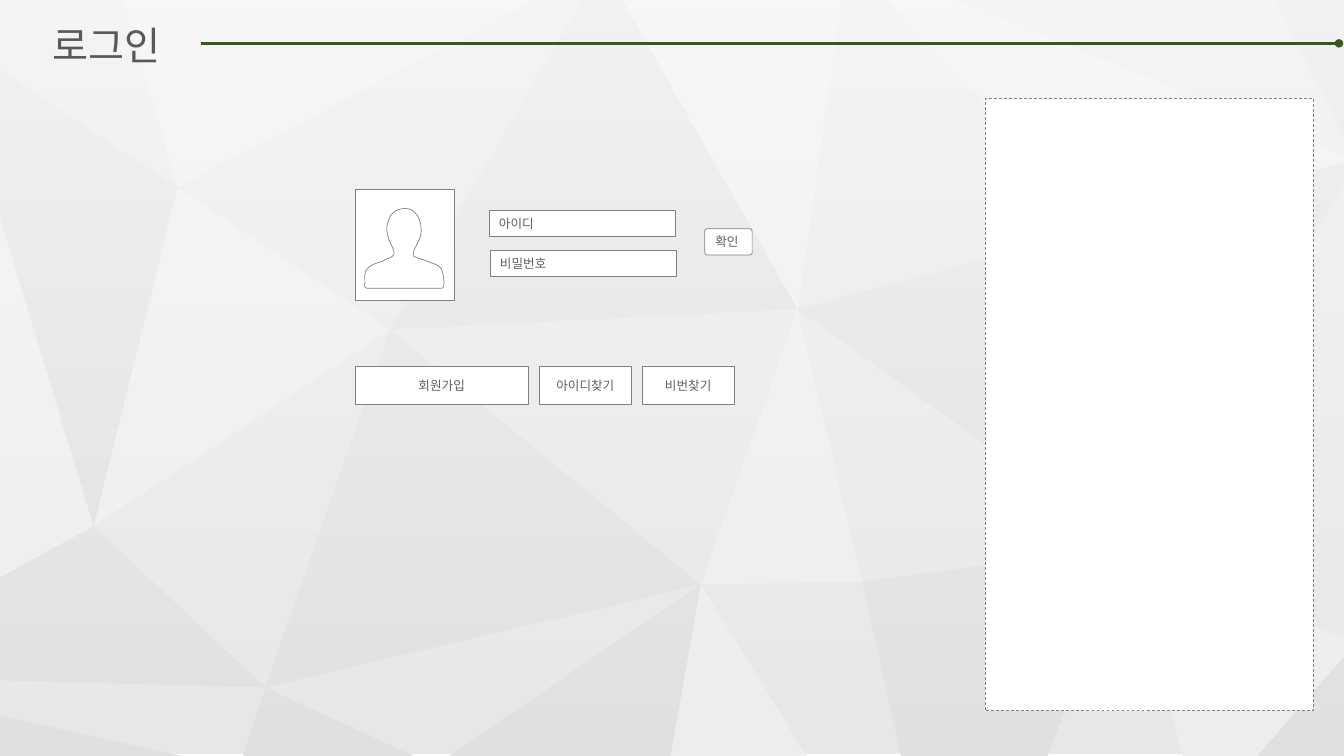
import pptx
import pptx.util
import pptx.dml.color
import pptx.enum.dml
import pptx.enum.shapes
import pptx.enum.text
import pptx.oxml.ns
import lxml.etree

Inches = pptx.util.Inches
Pt = pptx.util.Pt
RGBColor = pptx.dml.color.RGBColor
SHAPE = pptx.enum.shapes.MSO_SHAPE
ALIGN = pptx.enum.text.PP_ALIGN
ANCHOR = pptx.enum.text.MSO_ANCHOR
qn = pptx.oxml.ns.qn

WHITE = RGBColor(0xFF, 0xFF, 0xFF)
BASE_GRAY = RGBColor(0xE7, 0xE7, 0xE7)
LIGHT_GRAY = RGBColor(0xED, 0xED, 0xED)
DARK_GRAY = RGBColor(0xE0, 0xE0, 0xE0)
OUTLINE = RGBColor(0x80, 0x80, 0x80)
TITLE_INK = RGBColor(0x59, 0x59, 0x59)
LABEL_INK = RGBColor(0x5F, 0x5F, 0x5F)
GREEN = RGBColor(0x38, 0x57, 0x23)

TITLE_FONT = "Noto Sans CJK KR"
LABEL_FONT = "Karla"

LIGHT_FACETS = [
    [(6.95, 5.8), (6.65, 7.5), (8, 7.5)],
    [(7.91, 3.07), (6.95, 5.8), (8.55, 5.77)],
    [(11.18, 5.42), (11.73, 7.5), (12.47, 7.5), (13.33, 6.51), (13.33, 6.33)],
    [(0, 2.16), (0, 5.73), (0.93, 5.22)],
    [(8.8, 0), (10.94, 2.26), (13.33, 1.61), (13.33, 1.54), (9.46, 0)],
    [(0.93, 5.22), (3.87, 3.27), (1.76, 1.86)],
    [(1.22, 0), (1.76, 1.86), (5.31, 0)],
    [(6.17, 0), (7.91, 3.07), (8.35, 0)],
]
DARK_FACETS = [
    [(0.93, 5.22), (0, 5.73), (0, 6.75), (2.63, 6.82)],
    [(2.63, 6.82), (2.41, 7.5), (4.1, 7.5)],
    [(13.33, 6.52), (12.47, 7.5), (13.33, 7.5)],
    [(0, 7.1), (0, 7.5), (1.8, 7.5)],
    [(11.18, 5.42), (8.55, 5.77), (8.94, 7.5), (10.39, 7.5)],
    [(6.95, 5.8), (4.45, 7.5), (6.65, 7.5)],
    [(13.33, 1.61), (7.91, 3.07), (11.18, 5.42), (13.33, 1.84)],
    [(6.95, 5.8), (3.87, 3.27), (2.63, 6.82)],
    [(12.65, 0), (13.33, 1.35), (13.33, 0)],
    [(0, 0.69), (0, 2.16), (0.93, 5.22), (1.76, 1.86)],
    [(5.77, 0), (3.87, 3.27), (7.91, 3.07), (6.17, 0)],
]
# Bezier control points of the silhouette, measured from the avatar frame.
PERSON_START = (0.86, 0.79)
PERSON_CURVES = [
    [(0.83, 0.74), (0.75, 0.73), (0.69, 0.7)],
    [(0.65, 0.69), (0.62, 0.68), (0.58, 0.66)],
    [(0.57, 0.61), (0.61, 0.57), (0.65, 0.47)],
    [(0.67, 0.4), (0.66, 0.26), (0.56, 0.2)],
    [(0.48, 0.17), (0.37, 0.2), (0.34, 0.29)],
    [(0.27, 0.44), (0.38, 0.56), (0.39, 0.62)],
    [(0.4, 0.68), (0.31, 0.68), (0.28, 0.71)],
    [(0.22, 0.73), (0.17, 0.74), (0.13, 0.78)],
    [(0.09, 0.82), (0.1, 0.86), (0.1, 0.93)],
    [(0.09, 0.96), (0.1, 0.98), (0.13, 0.98)],
    [(0.38, 0.98), (0.59, 0.98), (0.86, 0.98)],
    [(0.91, 0.98), (0.87, 0.81), (0.86, 0.79)],
]


def paint(shape, fill, outline=None):
    shape.shadow.inherit = False
    shape.fill.solid()
    shape.fill.fore_color.rgb = fill
    if outline is None:
        shape.line.fill.background()
    else:
        shape.line.color.rgb = outline
        shape.line.width = Pt(0.5)


def add_outlined(shapes, left, top, width, height, kind=SHAPE.RECTANGLE):
    shape = shapes.add_shape(kind, Inches(left), Inches(top), Inches(width), Inches(height))
    paint(shape, WHITE, OUTLINE)
    return shape


def add_polygon(shapes, points, fill, outline=None):
    corners = [(Inches(x), Inches(y)) for x, y in points]
    builder = shapes.build_freeform(*corners[0])
    builder.add_line_segments(corners[1:], close=True)
    paint(builder.convert_to_shape(), fill, outline)


def write(frame, text, size, font, ink, align=ALIGN.LEFT):
    para = frame.paragraphs[0]
    para.text = text
    para.alignment = align
    para.font.size = Pt(size)
    para.font.name = font
    para.font.color.rgb = ink
    properties = para._p.find(".//" + qn("a:defRPr"))
    lxml.etree.SubElement(properties, qn("a:ea")).set("typeface", TITLE_FONT)


def add_label_box(page, text, left, top, width, height, align=ALIGN.LEFT, kind=SHAPE.RECTANGLE):
    box = add_outlined(page.shapes, left, top, width, height, kind)
    box.text_frame.vertical_anchor = ANCHOR.MIDDLE
    write(box.text_frame, text, 9, LABEL_FONT, LABEL_INK, align)
    return box


def flatten(start, curves, steps=8):
    """Turn chained cubic curves into the points of a polyline."""
    points = [start]
    for first, second, end in curves:
        origin = points[-1]
        for step in range(1, steps + 1):
            t = step / steps
            u = 1 - t
            points.append(tuple(
                u**3 * a + 3 * u * u * t * b + 3 * u * t * t * c + t**3 * d
                for a, b, c, d in zip(origin, first, second, end)))
    return points


def add_background(page, width, height):
    facets = page.shapes.add_group_shape().shapes
    base = facets.add_shape(SHAPE.RECTANGLE, 0, 0, Inches(width), Inches(height - 0.02))
    paint(base, BASE_GRAY)
    for fill, polygons in ((LIGHT_GRAY, LIGHT_FACETS), (DARK_GRAY, DARK_FACETS)):
        for points in polygons:
            add_polygon(facets, points, fill)

    veil = page.shapes.add_shape(SHAPE.RECTANGLE, 0, 0, Inches(width), Inches(height))
    paint(veil, WHITE)
    veil.fill.gradient()
    veil.fill.gradient_angle = 270
    for stop, position, opacity in zip(veil.fill.gradient_stops, (0, 1), (60000, 0)):
        stop.position = position
        stop.color.rgb = WHITE
    for color, opacity in zip(veil._element.spPr.iter(qn("a:srgbClr")), (60000, 0)):
        lxml.etree.SubElement(color, qn("a:alpha")).set("val", str(opacity))


def add_header(page, left, top, right):
    title = page.shapes.add_textbox(Inches(left), Inches(top), Inches(2.23), Inches(0.57))
    title.text_frame.word_wrap = True
    write(title.text_frame, "로그인", 28, TITLE_FONT, TITLE_INK)
    rule_y = Inches(top + 0.27)
    rule = page.shapes.add_connector(
        pptx.enum.shapes.MSO_CONNECTOR.STRAIGHT, Inches(left + 1.57), rule_y, Inches(right), rule_y)
    rule.line.color.rgb = GREEN
    rule.line.width = Pt(2)
    lxml.etree.SubElement(rule.line._get_or_add_ln(), qn("a:tailEnd")).set("type", "oval")
    lxml.etree.SubElement(rule._element.spPr, qn("a:effectLst"))


def add_avatar(page, left, top):
    avatar = page.shapes.add_group_shape().shapes
    add_outlined(avatar, left, top, 0.99, 1.1)
    outline = [(left + x, top + y) for x, y in flatten(PERSON_START, PERSON_CURVES)]
    add_polygon(avatar, outline, WHITE, OUTLINE)


def add_login_form(page, left, top):
    add_avatar(page, left, top)
    for text, x, y in (("아이디", 1.33, 0.21), ("비밀번호", 1.34, 0.6)):
        field = add_label_box(page, text, left + x, top + y, 1.85, 0.26)
        field.text_frame.margin_top = field.text_frame.margin_bottom = Inches(0.06)
    confirm = add_label_box(page, "확인", left + 3.47, top + 0.39, 0.47, 0.26,
                            kind=SHAPE.ROUNDED_RECTANGLE)
    confirm.adjustments[0] = 0.088
    confirm.text_frame.word_wrap = False


def add_account_buttons(page, left, top, gap=0.11):
    for text, width in (("회원가입", 1.72), ("아이디찾기", 0.91), ("비번찾기", 0.91)):
        add_label_box(page, text, left, top, width, 0.38, ALIGN.CENTER)
        left += width + gap


def add_notes_panel(page, left, top, width, height):
    panel = add_outlined(page.shapes, left, top, width, height)
    panel.line.dash_style = pptx.enum.dml.MSO_LINE.DASH


def main():
    deck = pptx.Presentation()
    deck.slide_width, deck.slide_height = Inches(13.33), Inches(7.5)
    page = deck.slides.add_slide(deck.slide_layouts[6])
    add_background(page, 13.33, 7.5)
    add_header(page, 0.42, 0.16, 13.28)
    add_login_form(page, 3.52, 1.88)
    add_account_buttons(page, 3.52, 3.63)
    add_notes_panel(page, 9.77, 0.98, 3.26, 6.07)
    deck.save("out.pptx")


if __name__ == "__main__":
    main()
